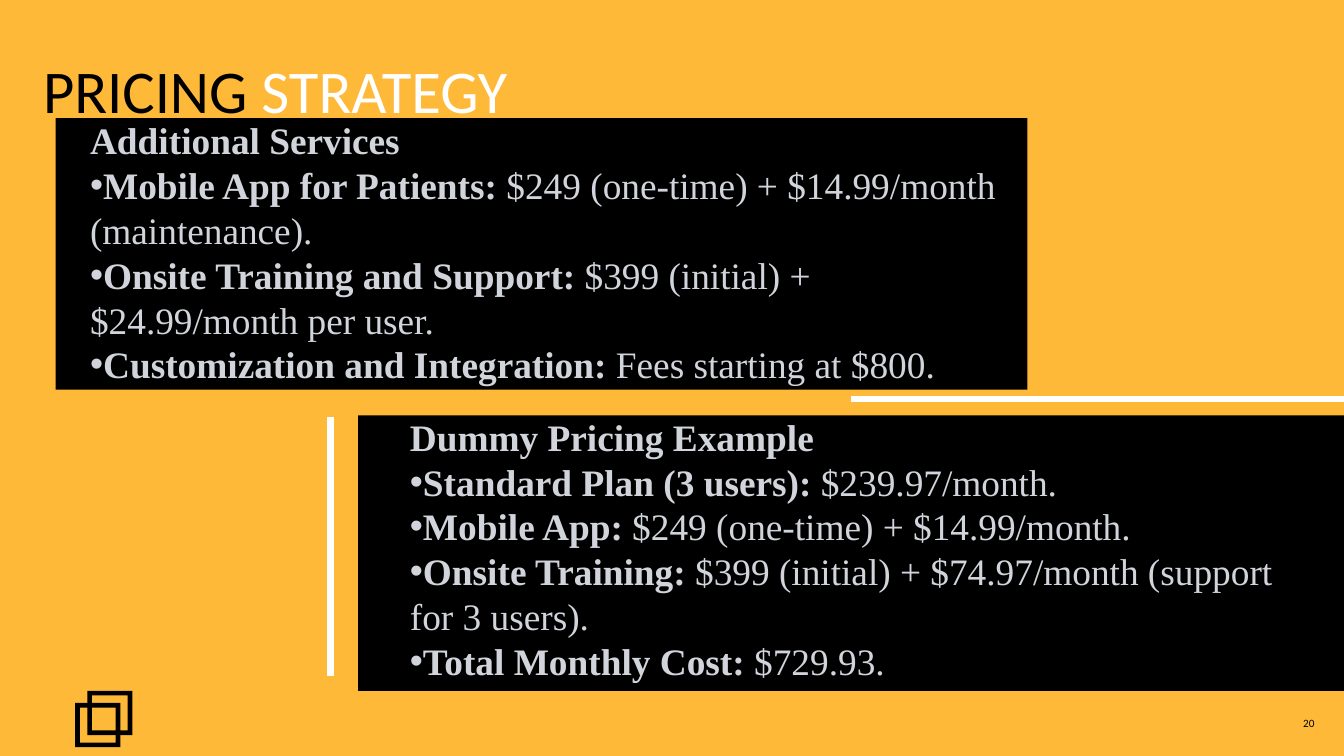
from dataclasses import dataclass

from lxml import etree
from pptx import Presentation
from pptx.dml.color import RGBColor
from pptx.enum import shapes, text
from pptx.oxml import ns
from pptx.util import Inches, Pt


@dataclass(frozen=True)
class Theme:
    back: str = "FFB938"
    dark: str = "000000"
    light: str = "FFFFFF"
    pale: str = "D1D5DB"
    head: str = "Calibri"
    body: str = "Times New Roman"
    title: float = 65
    title_gap: float = 111.8
    list: float = 40
    list_gap: float = 48
    page: float = 12
    rule: float = 6.75


THEME = Theme()

SERVICES = ("Additional Services", [
    ("Mobile App for Patients:", " $249 (one-time) + $14.99/month (maintenance)."),
    ("Onsite Training and Support:", " $399 (initial) + $24.99/month per user."),
    ("Customization and Integration:", " Fees starting at $800."),
])
EXAMPLE = ("Dummy Pricing Example", [
    ("Standard Plan (3 users):", " $239.97/month."),
    ("Mobile App:", " $249 (one-time) + $14.99/month."),
    ("Onsite Training:", " $399 (initial) + $74.97/month (support for 3 users)."),
    ("Total Monthly Cost:", " $729.93."),
])


def color(code):
    return RGBColor.from_string(code)


def place(shape, box):
    shape.left, shape.top, shape.width, shape.height = map(Inches, box)


def set_frame(shape, pad=(0, 0), anchor=text.MSO_ANCHOR.TOP):
    frame = shape.text_frame
    frame.word_wrap = True
    frame.auto_size = text.MSO_AUTO_SIZE.NONE
    frame.vertical_anchor = anchor
    frame.margin_left = frame.margin_right = Inches(pad[0])
    frame.margin_top = frame.margin_bottom = Inches(pad[1])
    return frame


def add_run(para, words, size, face, code, bold=False):
    run = para.add_run()
    run.text = words
    font = run.font
    font.size, font.name, font.bold = Pt(size), face, bold
    font.color.rgb = color(code)


def set_bullet(para, mark=None):
    """Start the paragraph at the left edge, with the mark if there is one."""
    props = para._p.get_or_add_pPr()
    props.set("marL", "0")
    props.set("indent", "0")
    kind = "a:buChar" if mark else "a:buNone"
    node = etree.SubElement(props, ns.qn(kind))
    if mark:
        node.set("char", mark)


def add_block(slide, kind, box):
    shape = slide.shapes.add_shape(kind, *map(Inches, box))
    shape.shadow.inherit = False
    shape.fill.solid()
    shape.fill.fore_color.rgb = color(THEME.dark)
    shape.line.fill.background()
    return shape


def add_rule(slide, start, end):
    rule = slide.shapes.add_connector(
        shapes.MSO_CONNECTOR.STRAIGHT, *map(Inches, start + end))
    rule.line.color.rgb = color(THEME.light)
    rule.line.width = Pt(THEME.rule)
    etree.SubElement(rule._element.spPr, ns.qn("a:effectLst"))


def add_title(slide, box):
    title = slide.shapes.title
    place(title, box)
    para = set_frame(title).paragraphs[0]
    para.alignment = text.PP_ALIGN.JUSTIFY
    para.line_spacing = Pt(THEME.title_gap)
    for words, code in (("PRICING", THEME.dark), (" STRATEGY", THEME.light)):
        add_run(para, words, THEME.title, THEME.head, code)


def add_panel(slide, body, box, inner, pad, content):
    """Draw a dark panel and lay the body placeholder over it; inner is
    the text box measured from the panel's top left corner."""
    add_block(slide, shapes.MSO_SHAPE.RECTANGLE, box)
    slide.shapes._spTree.append(body._element)
    place(body, (box[0] + inner[0], box[1] + inner[1], inner[2], inner[3]))
    frame = set_frame(body, pad)
    head, items = content
    rows = [(head, "")] + items
    for i, (label, detail) in enumerate(rows):
        para = frame.add_paragraph() if i else frame.paragraphs[0]
        para.alignment = text.PP_ALIGN.LEFT
        para.space_before = para.space_after = Pt(0)
        para.line_spacing = Pt(THEME.list_gap)
        set_bullet(para, "•" if i else None)
        add_run(para, label, THEME.list, THEME.body, THEME.pale, True)
        if detail:
            add_run(para, detail, THEME.list, THEME.body, THEME.pale)


def add_mark(slide, box):
    """Draw two overlapping square frames that fill the box."""
    left, top, width, height = box
    side, step = 0.67, 0.18
    for x, y in ((left, top + step), (left + step, top)):
        ring = add_block(slide, shapes.MSO_SHAPE.FRAME,
                         (x, y, width - step, height - step))
        ring.adjustments[0] = 0.07 / side


def add_page(slide, box, number):
    label = slide.shapes.add_textbox(*map(Inches, box))
    frame = set_frame(label, (0.1, 0.05), text.MSO_ANCHOR.MIDDLE)
    para = frame.paragraphs[0]
    para.alignment = text.PP_ALIGN.RIGHT
    add_run(para, number, THEME.page, THEME.head, THEME.dark)


def main():
    deck = Presentation()
    deck.slide_width, deck.slide_height = Inches(20), Inches(11.25)
    slide = deck.slides.add_slide(deck.slide_layouts.get_by_name("Two Content"))
    slide.background.fill.solid()
    slide.background.fill.fore_color.rgb = color(THEME.back)
    first, second = slide.placeholders[1], slide.placeholders[2]

    add_rule(slide, (12.67, 5.94), (20, 5.94))
    add_title(slide, (0.64, 0.32, 9.19, 1.39))
    add_panel(slide, first, (0.83, 1.76, 14.46, 4.04),
              (0.51, -0.01, 13.69, 4.04), (0, 0), SERVICES)
    add_mark(slide, (1.12, 10.28, 0.85, 0.84))
    add_rule(slide, (4.92, 6.21), (4.92, 10.06))
    add_panel(slide, second, (5.33, 6.18, 14.67, 4.1),
              (0.67, -0.07, 13.66, 4.14), (0.1, 0.05), EXAMPLE)
    add_page(slide, (17.33, 10.56, 2.33, 0.4), "20")
    deck.save("out.pptx")


if __name__ == "__main__":
    main()
